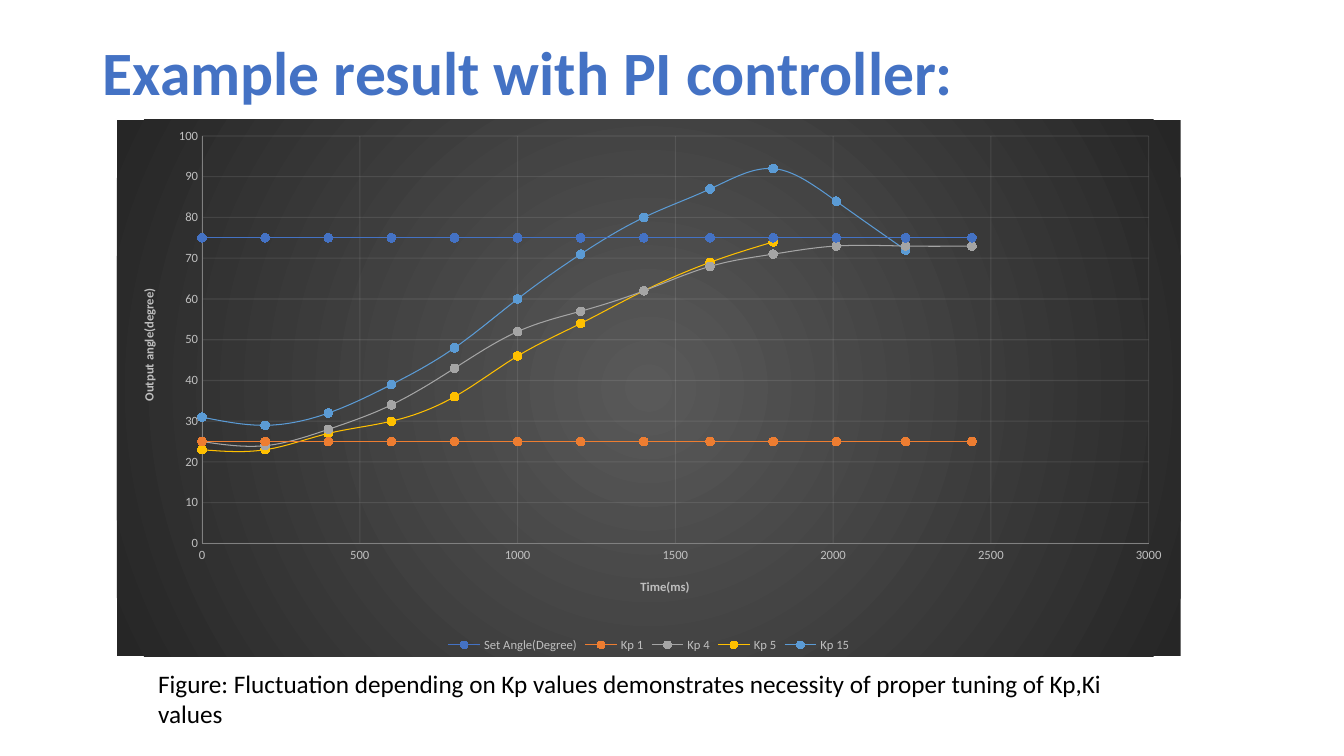
from lxml import etree
from pptx import Presentation
from pptx.chart.data import XyChartData
from pptx.dml.color import RGBColor
from pptx.enum.chart import XL_CHART_TYPE, XL_LEGEND_POSITION, XL_MARKER_STYLE, XL_TICK_MARK
from pptx.enum.text import MSO_ANCHOR
from pptx.oxml import parse_xml
from pptx.oxml.ns import nsdecls, qn
from pptx.util import Inches, Pt

SMOOTH_SCATTER = XL_CHART_TYPE.XY_SCATTER_SMOOTH
CIRCLE = XL_MARKER_STYLE.CIRCLE
BOTTOM = XL_LEGEND_POSITION.BOTTOM
NO_TICK = XL_TICK_MARK.NONE
MIDDLE = MSO_ANCHOR.MIDDLE

FONT = "Calibri"
HEADING = "Example result with PI controller:"
CAPTION = ("Figure: Fluctuation depending on Kp values demonstrates "
           "necessity of proper tuning of Kp,Ki values")
TIMES = [0, 200, 400, 600, 800, 1000, 1200, 1400, 1610, 1810, 2010, 2230, 2440]
# name, line colour, marker colour, angles
RESPONSES = [
    ("Set Angle(Degree)", "4472C4", "3E70CA", [75] * len(TIMES)),
    ("Kp 1", "ED7D31", "F67B28", [25] * len(TIMES)),
    ("Kp 4", "A5A5A5", "A5A5A5", [25, 24, 28, 34, 43, 52, 57, 62, 68, 71, 73, 73, 73]),
    ("Kp 5", "FFC000", "FFC000", [23, 23, 27, 30, 36, 46, 54, 62, 69, 74]),
    ("Kp 15", "5B9BD5", "559BDB", [31, 29, 32, 39, 48, 60, 71, 80, 87, 92, 84, 72]),
]
# title, scale maximum, major step, title position as shares of the chart, rotation
TIME_AXIS = ("Time(ms)", 3000, 500, {"x": 0.49, "y": 0.85}, 0)
ANGLE_AXIS = ("Output angle(degree)", 100, 10, {"x": 0.02, "y": 0.31}, -90)
PLOT_AREA = {"x": 0.08, "y": 0.03, "w": 0.89, "h": 0.76}

HEADING_BOX = (0.92, 0.29, 11.5, 0.91)
CHART_BOX = (1.16, 1.19, 10.55, 5.32)
CAPTION_BOX = (1.47, 6.58, 10.16, 0.71)


def rgb(hex_code):
    """Turn a hex string into a colour."""
    return RGBColor.from_string(hex_code)


def style_font(font, size, color, bold=False):
    """Give a font the slide's typeface with a size, colour and weight."""
    for name, value in {"name": FONT, "size": Pt(size), "bold": bold}.items():
        setattr(font, name, value)
    font.color.rgb = rgb(color)


def style_line(line, color, alpha=None):
    """Draw a thin line, with opacity in percent if given."""
    line.width = Pt(0.75)
    line.color.rgb = rgb(color)
    if alpha is not None:
        tint = line._get_or_add_ln().find(".//" + qn("a:srgbClr"))
        etree.SubElement(tint, qn("a:alpha"), val=str(alpha * 1000))


def place(parent, shares, inner=False):
    """Fix a chart part's place as shares of the chart's size."""
    layout = parent.find(qn("c:layout"))
    if layout is None:
        layout = etree.Element(qn("c:layout"))
        parent.insert(0, layout)
    manual = etree.SubElement(layout, qn("c:manualLayout"))
    if inner:
        etree.SubElement(manual, qn("c:layoutTarget"), val="inner")
    for side in ("x", "y"):
        etree.SubElement(manual, qn(f"c:{side}Mode"), val="edge")
    for side, share in shares.items():
        etree.SubElement(manual, qn(f"c:{side}"), val=str(share))


def style_axis(axis, title, maximum, step, position, rotation):
    """Set an axis's scale, grid, labels and title."""
    settings = {"minimum_scale": 0, "maximum_scale": maximum, "major_unit": step,
                "major_tick_mark": NO_TICK, "minor_tick_mark": NO_TICK,
                "has_major_gridlines": True}
    for name, value in settings.items():
        setattr(axis, name, value)
    style_font(axis.tick_labels.font, 9, "BFBFBF")
    axis.tick_labels.number_format = "General"
    axis.tick_labels.number_format_is_linked = False
    style_line(axis.format.line, "808080")
    style_line(axis.major_gridlines.format.line, "F2F2F2", 10)
    frame = axis.axis_title.text_frame
    frame.text = title
    style_font(frame.paragraphs[0].runs[0].font, 9, "BFBFBF", True)
    frame._txBody.bodyPr.set("rot", str(rotation * 60000))
    place(axis.axis_title._element, position)


def fill_radial(chart, inner, outer):
    """Fill the chart's background with a gradient from its centre."""
    stops = "".join(f'<a:gs pos="{pos}"><a:srgbClr val="{color}"/></a:gs>'
                    for pos, color in ((0, inner), (100000, outer)))
    background = parse_xml(
        f'<c:spPr {nsdecls("c", "a")}><a:gradFill><a:gsLst>{stops}</a:gsLst>'
        '<a:path path="circle"><a:fillToRect l="50000" t="50000" r="50000" b="50000"/>'
        '</a:path></a:gradFill><a:ln><a:noFill/></a:ln></c:spPr>')
    chart._chartSpace.find(qn("c:chart")).addnext(background)


def add_responses(slide):
    """Add the scatter chart of angle over time."""
    data = XyChartData()
    for name, _, _, angles in RESPONSES:
        response = data.add_series(name)
        for time, angle in zip(TIMES, angles):
            response.add_data_point(time, angle)
    box = map(Inches, CHART_BOX)
    chart = slide.shapes.add_chart(SMOOTH_SCATTER, *box, data).chart
    style_font(chart.font, 10, "000000")
    chart.has_title = False
    chart.has_legend = True
    chart.legend.position = BOTTOM
    chart.legend.include_in_layout = False
    style_font(chart.legend.font, 9, "BFBFBF")
    fill_radial(chart, "595959", "262626")
    place(chart._chartSpace.find(".//" + qn("c:plotArea")), PLOT_AREA, inner=True)
    style_axis(chart.category_axis, *TIME_AXIS)
    style_axis(chart.value_axis, *ANGLE_AXIS)
    plot = chart.plots[0]
    plot.vary_by_categories = False
    for response, (_, line, dot, _) in zip(plot.series, RESPONSES):
        style_line(response.format.line, line)
        response.marker.style = CIRCLE
        response.marker.size = 6
        response.marker.format.fill.solid()
        response.marker.format.fill.fore_color.rgb = rgb(dot)
        style_line(response.marker.format.line, line)
        response._element.find(qn("c:smooth")).set("val", "1")


def write(shape, text, box, size, color, bold=False):
    """Place a text shape and fill it with one formatted paragraph."""
    for side, length in zip(("left", "top", "width", "height"), box):
        setattr(shape, side, Inches(length))
    frame = shape.text_frame
    frame.word_wrap = True
    frame.text = text
    style_font(frame.paragraphs[0].runs[0].font, size, color, bold)
    return frame


deck = Presentation()
deck.slide_width, deck.slide_height = Inches(13.33), Inches(7.5)
slide = deck.slides.add_slide(deck.slide_layouts[5])
heading = write(slide.shapes.title, HEADING, HEADING_BOX, 44, "4472C4", True)
heading.vertical_anchor = MIDDLE
heading.paragraphs[0].line_spacing = 0.9
heading.paragraphs[0].alignment = 1
add_responses(slide)
caption = slide.shapes.add_textbox(*map(Inches, CAPTION_BOX))
write(caption, CAPTION, CAPTION_BOX, 18, "000000")
deck.save("out.pptx")
